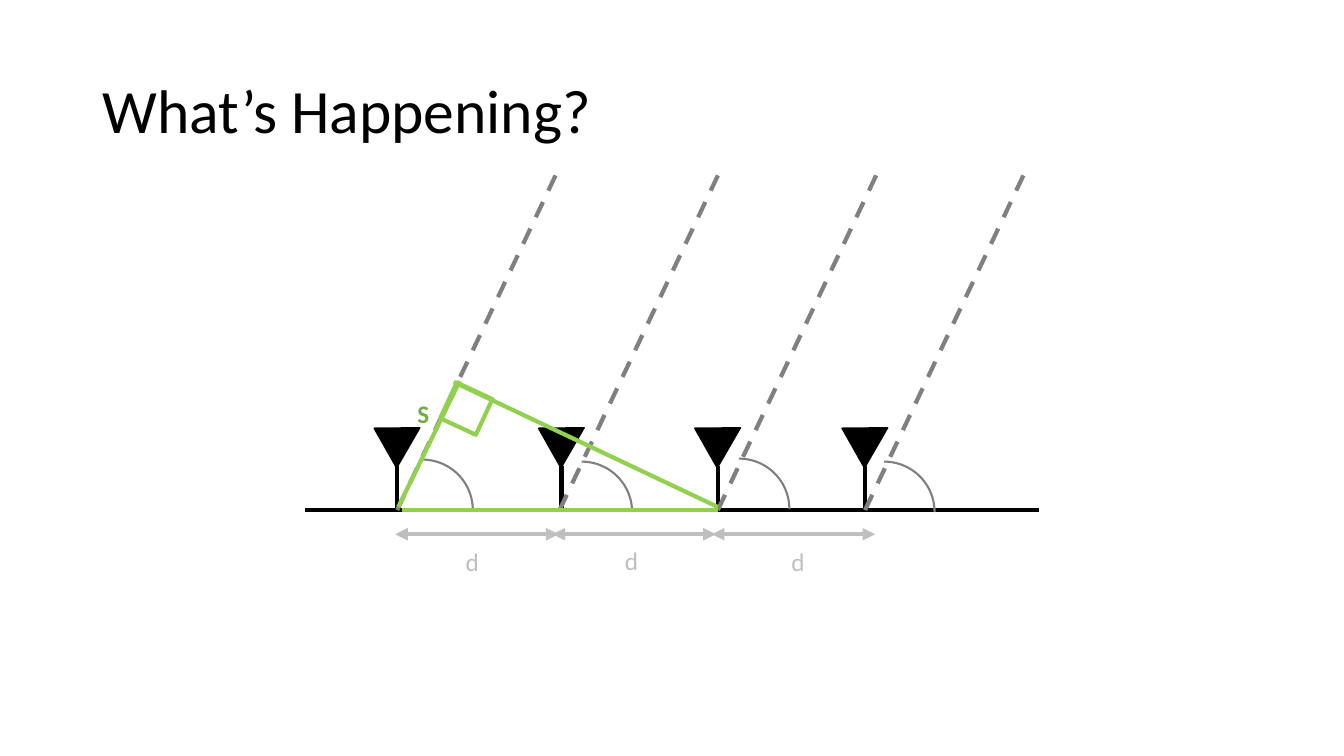
import pptx
import pptx.util
from lxml import etree
from pptx.dml.color import RGBColor
from pptx.enum.dml import MSO_LINE
from pptx.enum.shapes import MSO_CONNECTOR, MSO_SHAPE
from pptx.enum.text import MSO_ANCHOR, MSO_AUTO_SIZE
from pptx.oxml.ns import qn
from pptx.util import Inches, Pt

COLORS = {
    "black": "000000",
    "ray": "808080",
    "triangle": "92D050",
    "spacing": "BFBFBF",
    "path_label": "70AD47",
}
GROUND_Y = 5.06
SPACING_Y = 5.3
MASTS = [3.94, 5.57, 7.12, 8.58]
RAYS = [3.94, 5.55, 7.12, 8.58]
ARCS = [(3.69, 4.56), (5.27, 4.58), (6.83, 4.55), (8.27, 4.58)]
SPACINGS = [3.92, 5.48, 7.06]
SPACING_LABELS = [(4.52, 5.37), (6.1, 5.36), (7.75, 5.37)]


def rgb(color):
    return RGBColor.from_string(COLORS[color])


def add_line(slide, start, end, color, dash=None, arrows=False):
    line = slide.shapes.add_connector(
        MSO_CONNECTOR.STRAIGHT, *(Inches(v) for v in (*start, *end)))
    line.line.color.rgb = rgb(color)
    line.line.width = Pt(3)
    if dash:
        line.line.dash_style = dash
    if arrows:
        ln = line.line._get_or_add_ln()
        for end_tag in ("a:headEnd", "a:tailEnd"):
            etree.SubElement(ln, qn(end_tag), type="triangle")
    etree.SubElement(line._element.spPr, qn("a:effectLst"))


def add_shape(slide, kind, box, color, width, rotation=0, filled=False):
    sp = slide.shapes.add_shape(kind, *(Inches(v) for v in box))
    sp.shadow.inherit = False
    sp.rotation = rotation
    if filled:
        sp.fill.solid()
        sp.fill.fore_color.rgb = rgb(color)
    else:
        sp.fill.background()
    sp.line.color.rgb = rgb(color)
    sp.line.width = Pt(width)


def add_text(slide, text, box, size, color, bold=False):
    tf = slide.shapes.add_textbox(*(Inches(v) for v in box)).text_frame
    p = tf.paragraphs[0]
    p.text = text
    p.font.name = "Calibri"
    p.font.size = Pt(size)
    p.font.bold = bold
    p.font.color.rgb = rgb(color)
    return tf


def add_title(slide, text):
    tf = add_text(slide, text, (0.92, 0.4, 11.5, 1.45), 44, "black")
    tf.word_wrap = True
    tf.vertical_anchor = MSO_ANCHOR.MIDDLE
    tf.paragraphs[0].line_spacing = 0.9


def add_label(slide, text, left, top, width, color, bold=False):
    tf = add_text(slide, text, (left, top, width, 0.4), 18, color, bold)
    tf.word_wrap = False
    tf.auto_size = MSO_AUTO_SIZE.SHAPE_TO_FIT_TEXT


def add_antenna(slide, x):
    add_line(slide, (x, 4.62), (x, GROUND_Y), "black")
    add_shape(slide, MSO_SHAPE.ISOSCELES_TRIANGLE, (x - 0.29, 4.15, 0.46, 0.39),
              "black", 1, rotation=300, filled=True)


def add_path_triangle(slide):
    """Right triangle showing the extra path S between two antennas."""
    add_line(slide, (4.5, 3.79), (7.12, 5.03), "triangle")
    add_line(slide, (4.56, 3.78), (3.95, 5.03), "triangle")
    add_line(slide, (7.12, GROUND_Y), (3.99, GROUND_Y), "triangle")
    add_shape(slide, MSO_SHAPE.RECTANGLE, (4.43, 3.86, 0.39, 0.39),
              "triangle", 3, rotation=294.9)


def main():
    prs = pptx.Presentation()
    prs.slide_width, prs.slide_height = Inches(13.33), Inches(7.5)
    slide = prs.slides.add_slide(prs.slide_layouts[6])

    add_title(slide, "What’s Happening?")
    for x in MASTS:
        add_antenna(slide, x)
    add_line(slide, (3.03, GROUND_Y), (10.3, GROUND_Y), "black")
    for x in RAYS:
        add_line(slide, (x, GROUND_Y), (x + 1.58, 1.72), "ray", dash=MSO_LINE.DASH)
    for left, top in ARCS:
        add_shape(slide, MSO_SHAPE.ARC, (left, top, 1, 1), "ray", 1.5)
    add_path_triangle(slide)
    for x in SPACINGS:
        add_line(slide, (x, SPACING_Y), (x + 1.62, SPACING_Y), "spacing", arrows=True)
    for left, top in SPACING_LABELS:
        add_label(slide, "d", left, top, 0.34, "spacing")
    add_label(slide, "S", 4.04, 3.9, 0.32, "path_label", bold=True)

    prs.save("out.pptx")


if __name__ == "__main__":
    main()
